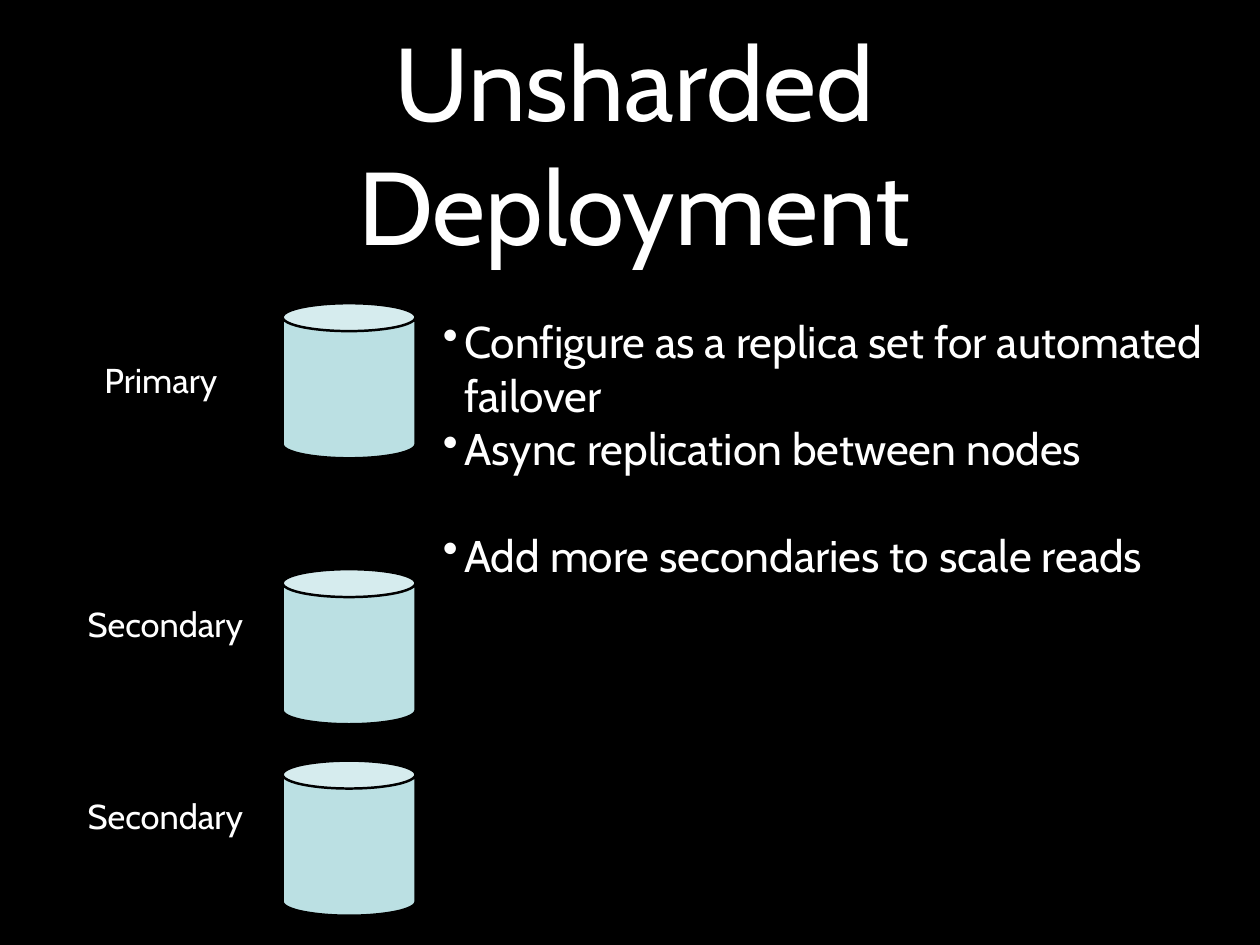
"""Build the slide on an unsharded deployment with one primary and two secondaries."""
from dataclasses import dataclass

from lxml.etree import SubElement as Sub
from pptx import Presentation
from pptx.dml.color import RGBColor as Color
from pptx.enum.shapes import MSO_SHAPE as Kind
from pptx.enum.text import MSO_ANCHOR as Anchor, PP_ALIGN as Align
from pptx.oxml.ns import qn
from pptx.slide import Slide
from pptx.text.text import TextFrame, _Paragraph as Para
from pptx.util import Inches, Pt

FONT = "Cabin"
BLACK, WHITE, TEAL = "000000", "FFFFFF", "BBE0E3"


@dataclass
class Node:
    name: str
    top: float
    left: float
    width: float
    text_top: float


@dataclass
class Point:
    text: str
    gap: float = 0


NODES = [
    Node("Primary", 3.42, 1, 1.63, 4),
    Node("Secondary", 6.42, 0.81, 2.11, 6.75),
    Node("Secondary", 8.58, 0.81, 2.11, 8.92),
]
POINTS = [
    Point("Configure as a replica set for automated failover"),
    Point("Async replication between nodes"),
    Point("Add more secondaries to scale reads", gap=43.5),
]


def paint(code: str) -> Color:
    """Turn a hex string into a colour."""
    return Color.from_string(code)


def style(para: Para, size: float, align: Align) -> None:
    """Set the font and alignment of a paragraph."""
    para.alignment = align
    for run in para.runs:
        run.font.name = FONT
        run.font.size = Pt(size)
        run.font.color.rgb = paint(WHITE)


def add_box(slide: Slide, left: float, top: float, width: float, height: float) -> TextFrame:
    """Add a wrapping text box and return its frame."""
    box = slide.shapes.add_textbox(Inches(left), Inches(top), Inches(width), Inches(height))
    box.text_frame.word_wrap = True
    return box.text_frame


def add_title(slide: Slide, text: str) -> None:
    """Add the centred title."""
    frame = add_box(slide, 1.44, 0.67, 11.44, 1.86)
    frame.margin_left = frame.margin_right = Inches(0.06)
    frame.margin_top = frame.margin_bottom = Inches(0.06)
    frame.vertical_anchor = Anchor.MIDDLE
    frame.text = text
    style(frame.paragraphs[0], 84, Align.CENTER)


def add_node(slide: Slide, node: Node) -> None:
    """Add a database can and its label."""
    can = slide.shapes.add_shape(Kind.CAN, Inches(3.19), Inches(node.top), Inches(1.5), Inches(1.75))
    can.adjustments[0] = 0.21
    can.shadow.inherit = False
    can.fill.solid()
    can.fill.fore_color.rgb = paint(TEAL)
    can.line.color.rgb = paint(BLACK)
    can.line.width = Pt(2)
    frame = add_box(slide, node.left, node.text_top, node.width, 0.57)
    frame.word_wrap = False
    frame.text = node.name
    style(frame.paragraphs[0], 28, Align.CENTER)


def add_bullet(para: Para) -> None:
    """Give a paragraph a white bullet and a hanging indent."""
    props = para._p.get_or_add_pPr()
    props.set("marL", str(Inches(0.24)))
    props.set("indent", str(-Inches(0.24)))
    Sub(Sub(props, qn("a:buClr")), qn("a:srgbClr"), val=WHITE)
    Sub(props, qn("a:buChar"), char="•")


def add_points(slide: Slide, points: list[Point]) -> None:
    """Add the bulleted list."""
    frame = add_box(slide, 4.9, 3.5, 9.32, 4.08)
    frame.text = "\n".join(point.text for point in points)
    for para, point in zip(frame.paragraphs, points):
        style(para, 36, Align.LEFT)
        para.space_before = Pt(point.gap)
        add_bullet(para)


def main() -> None:
    """Build and save the deck."""
    deck = Presentation()
    deck.slide_width, deck.slide_height = Inches(14.22), Inches(10.66)
    slide = deck.slides.add_slide(deck.slide_layouts[6])
    slide.background.fill.solid()
    slide.background.fill.fore_color.rgb = paint(BLACK)
    add_title(slide, "Unsharded Deployment")
    for node in NODES:
        add_node(slide, node)
    add_points(slide, POINTS)
    deck.save("out.pptx")


if __name__ == "__main__":
    main()
